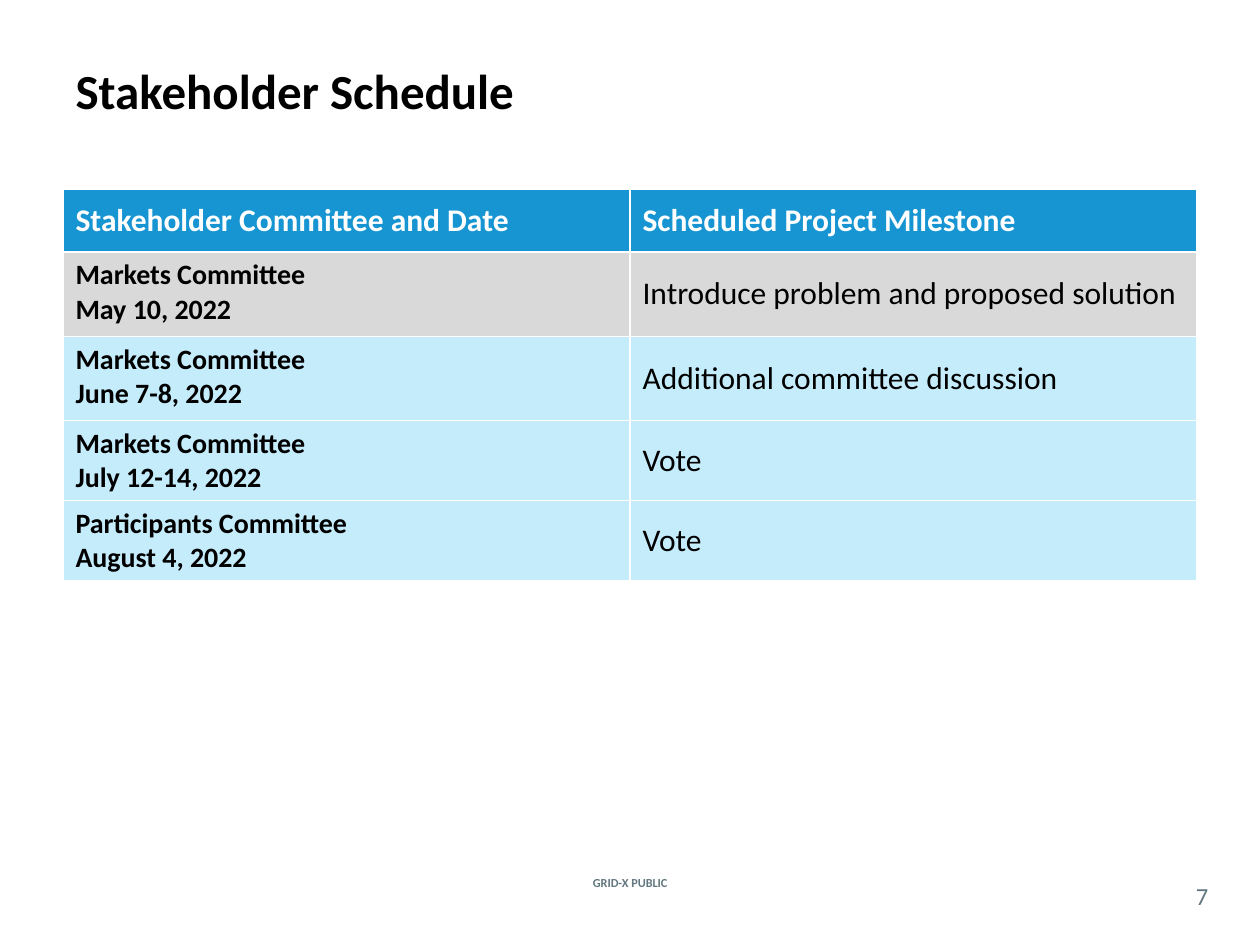
from pptx import Presentation
from pptx.dml.color import RGBColor
from pptx.enum.text import MSO_ANCHOR, PP_ALIGN
from pptx.util import Cm, Pt

MIDDLE, TOP = MSO_ANCHOR.MIDDLE, MSO_ANCHOR.TOP
LEFT, CENTER = PP_ALIGN.LEFT, PP_ALIGN.CENTER
FONT = "Calibri"
BLACK = RGBColor(0, 0, 0)
WHITE = RGBColor(255, 255, 255)
SLATE = RGBColor(0x62, 0x77, 0x7F)
BLUE = RGBColor(0x17, 0x95, 0xD2)
GRAY = RGBColor(0xD9, 0xD9, 0xD9)
PALE = RGBColor(0xC5, 0xEC, 0xFB)

HEADS = ("Stakeholder Committee and Date", "Scheduled Project Milestone")
EVENTS = [
    ("Markets Committee\nMay 10, 2022", "Introduce problem and proposed solution", GRAY, 1.7),
    ("Markets Committee\nJune 7-8, 2022", "Additional committee discussion", PALE, 1.7),
    ("Markets Committee\nJuly 12-14, 2022", "Vote", PALE, 1.6),
    ("Participants Committee\nAugust 4, 2022", "Vote", PALE, 1.6),
]


def write(frame, text, size, color, bold=False, align=LEFT):
    frame.text = text
    for para in frame.paragraphs:
        para.alignment = align
        font = para.font
        font.name, font.size, font.bold = FONT, Pt(size), bold
        font.color.rgb = color


def add_title(slide, left, top, width, height):
    title = slide.shapes.title
    title.left, title.top, title.width, title.height = left, top, width, height
    write(title.text_frame, "Stakeholder Schedule", 28, BLACK, True)
    title.text_frame.vertical_anchor = MIDDLE


def fill_cell(cell, text, size, color, bold, fill, anchor=MIDDLE):
    write(cell.text_frame, text, size, color, bold)
    cell.vertical_anchor = anchor
    cell.fill.solid()
    cell.fill.fore_color.rgb = fill


def add_schedule(slide, left, top, width, head):
    height = head + sum(Cm(event[3]) for event in EVENTS)
    table = slide.shapes.add_table(len(EVENTS) + 1, 2, left, top, width, height).table
    table.horz_banding = False
    table.rows[0].height = head
    for col, text in enumerate(HEADS):
        table.columns[col].width = width // 2
        fill_cell(table.cell(0, col), text, 18, WHITE, True, BLUE)
    for row, (date, goal, fill, tall) in enumerate(EVENTS, 1):
        table.rows[row].height = Cm(tall)
        fill_cell(table.cell(row, 0), date, 16, BLACK, True, fill, TOP)
        fill_cell(table.cell(row, 1), goal, 18, BLACK, False, fill)


def add_label(slide, left, top, width, height, text, size, bold):
    frame = slide.shapes.add_textbox(left, top, width, height).text_frame
    frame.word_wrap = True
    frame.margin_left = frame.margin_right = frame.margin_top = frame.margin_bottom = 0
    frame.vertical_anchor = MIDDLE
    write(frame, text, size, SLATE, bold, CENTER)


def main():
    deck = Presentation()
    deck.slide_width, deck.slide_height = Cm(25.4), Cm(19.05)
    slide = deck.slides.add_slide(deck.slide_layouts[5])
    add_label(slide, Cm(10.84), Cm(17.58), Cm(3.73), Cm(0.43), "GRID-X PUBLIC", 7, True)
    add_title(slide, Cm(1.27), Cm(1.07), Cm(22.86), Cm(1.47))
    add_label(slide, Cm(23.7), Cm(17.68), Cm(1.07), Cm(0.74), "7", 14, False)
    add_schedule(slide, Cm(1.27), Cm(3.81), Cm(22.86), Cm(1.27))
    deck.save("out.pptx")


if __name__ == "__main__":
    main()
